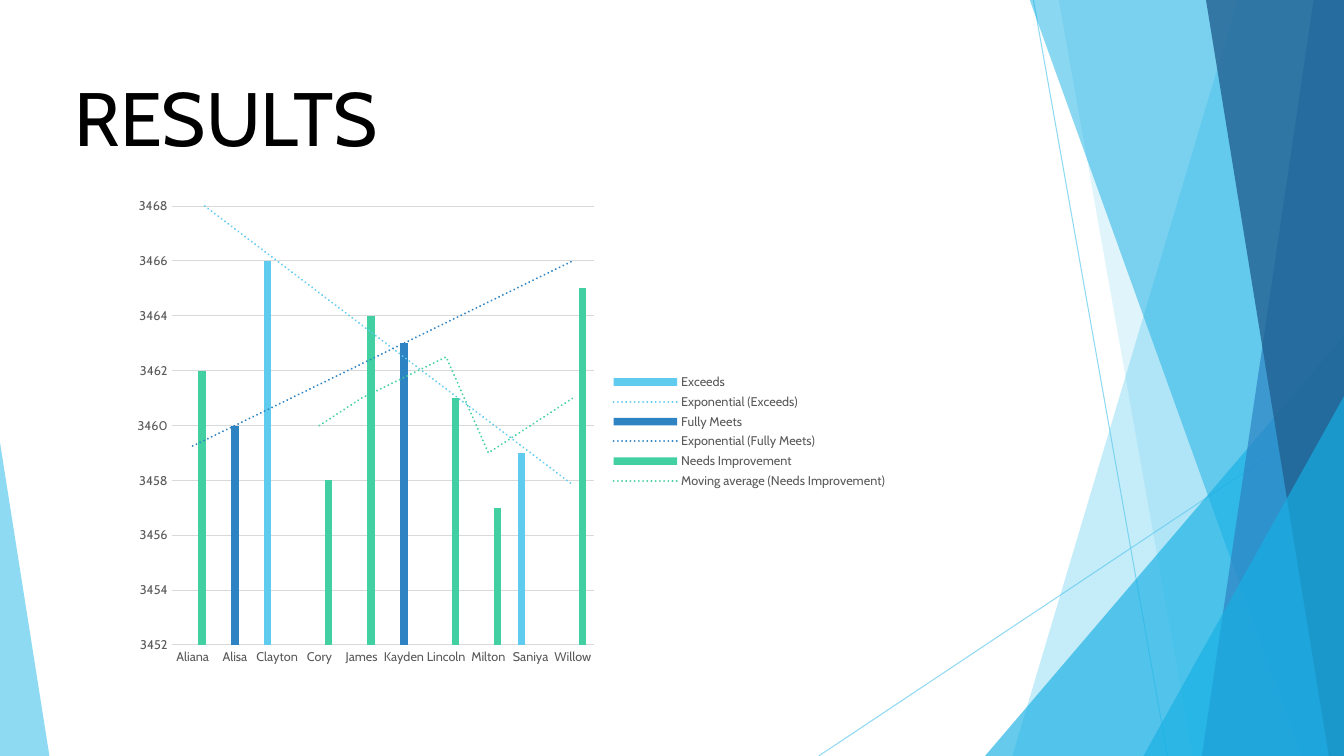
"""Build the RESULTS slide: faceted backdrop, title and column chart with trend lines."""
from lxml.etree import SubElement
from pptx import Presentation
from pptx.chart.data import CategoryChartData
from pptx.dml.color import RGBColor
from pptx.enum.chart import XL_CHART_TYPE as CHART, XL_LEGEND_POSITION as LEGEND, XL_TICK_MARK as TICK
from pptx.enum.shapes import MSO_CONNECTOR as CONNECTOR, MSO_SHAPE as SHAPE
from pptx.oxml import parse_xml
from pptx.oxml.ns import nsdecls, qn
from pptx.util import Inches, Pt

W, H, TOP = 13.33, 7.5, -0.01
FONT, SKY, CYAN, BLUE, NAVY, GREEN = "Cabin", "5FCBEF", "17B0E4", "2E83C3", "226292", "42D0A2"
GRAY, RULE = "595959", "D9D9D9"


def paint(fill, color, element=None, alpha=100):
    fill.solid()
    fill.fore_color.rgb = RGBColor.from_string(color)
    if element is not None:
        for clr in element.iter(qn("a:srgbClr")):
            SubElement(clr, qn("a:alpha")).set("val", str(alpha * 1000))


def add_text(s, text, left, top, width, height, size=18, font=FONT, color="000000"):
    tf = s.shapes.add_textbox(Inches(left), Inches(top), Inches(width), Inches(height)).text_frame
    tf.word_wrap = True
    r = tf.paragraphs[0].add_run()
    r.text = text
    r.font.size, r.font.name = Pt(size), font
    paint(r.font.fill, color)


prs = Presentation()
prs.slide_width, prs.slide_height = Inches(W), Inches(H)
s = prs.slides.add_slide(prs.slide_layouts[6])

for x1, y1, x2, y2 in [(10.25, 0, 11.58, H), (W, 4.03, 8.12, H)]:
    ray = s.shapes.add_connector(CONNECTOR.STRAIGHT, Inches(x1), Inches(y1), Inches(x2), Inches(y2))
    ray.line.width = Pt(0.75)
    paint(ray.line.fill, SKY, ray.element, 70)
    SubElement(ray.element.spPr, qn("a:effectLst"))

facets = [
    ("band", (12.28, 10.04), SKY, 36),
    ("band", (10.5, 11.83), SKY, 20),
    ("triangle", (9.77, 3.33, 3.56, 1), CYAN, 66),
    ("band", (10.21, 12.91), CYAN, 50),
    ("band", (13.03, 11.92), BLUE, 70),
    ("band", (11.96, 13.18), NAVY, 80),
    ("triangle", (11.34, 3.93, 1.99, 1), CYAN, 66),
    ("triangle", (0, 4.39, 0.49, 0), SKY, 70),
]
for kind, place, color, alpha in facets:
    if kind == "band":
        top_x, bottom_x = place
        outline = s.shapes.build_freeform(Inches(top_x), Inches(TOP))
        corners = [(W, TOP), (W, H), (bottom_x, H)]
        outline.add_line_segments([(Inches(x), Inches(y)) for x, y in corners])
        sp = outline.convert_to_shape()
    else:
        left, top, width, apex = place
        sp = s.shapes.add_shape(SHAPE.ISOSCELES_TRIANGLE, Inches(left), Inches(top),
                                Inches(width), Inches(H - top))
        sp.adjustments[0] = apex
    sp.shadow.inherit = False
    sp.line.fill.background()
    paint(sp.fill, color, sp.element, alpha)

add_text(s, "RESULTS", 0.64, 0.65, 7.59, 1.01, size=54)

ratings = [
    ("Exceeds", {"Clayton": 3466, "Saniya": 3459}, SKY, "exp", "Exponential"),
    ("Fully Meets", {"Alisa": 3460, "Kayden": 3463}, BLUE, "exp", "Exponential"),
    ("Needs Improvement", {"Aliana": 3462, "Cory": 3458, "James": 3464, "Lincoln": 3461,
                           "Milton": 3457, "Willow": 3465}, GREEN, "movingAvg", "Moving average"),
]
data = CategoryChartData()
data.categories = sorted(name for rating in ratings for name in rating[1])
for label, scores, *_ in ratings:
    data.add_series(label, [scores.get(c.label) for c in data.categories])
chart = s.shapes.add_chart(CHART.COLUMN_CLUSTERED, Inches(1.21), Inches(1.87),
                           Inches(7.69), Inches(4.82), data).chart
chart.has_title = False
chart.font.size, chart.font.name = Pt(10), FONT
paint(chart.font.fill, "000000")
chart.has_legend = True
chart.legend.position = LEGEND.RIGHT
chart.legend.include_in_layout = False

names, values = chart.category_axis, chart.value_axis
for font in (names.tick_labels.font, values.tick_labels.font, chart.legend.font):
    font.size, font.name = Pt(9), FONT
    paint(font.fill, GRAY)
for axis in (names, values):
    axis.major_tick_mark = axis.minor_tick_mark = TICK.NONE
for line in (names.format.line, values.major_gridlines.format.line):
    line.width = Pt(0.75)
    paint(line.fill, RULE)
values.format.line.fill.background()
values.minimum_scale, values.maximum_scale, values.major_unit = 3452, 3468, 2

plot = chart.plots[0]
plot.gap_width, plot.overlap, plot.vary_by_categories = 219, -27, False
for series, ser, rating in zip(plot.series, chart.element.iter(qn("c:ser")), ratings):
    label, scores, color, trend, trend_name = rating
    paint(series.format.fill, color)
    series.invert_if_negative = False
    period = '<c:period val="2"/>' if trend == "movingAvg" else ""
    ser.find(qn("c:cat")).addprevious(parse_xml(
        f'<c:trendline {nsdecls("c", "a")}><c:name>{trend_name} ({label})</c:name>'
        f'<c:spPr><a:ln w="{Pt(1.5)}" cap="rnd"><a:solidFill><a:srgbClr val="{color}"/></a:solidFill>'
        f'<a:prstDash val="sysDot"/></a:ln></c:spPr><c:trendlineType val="{trend}"/>{period}'
        '<c:dispRSqr val="0"/><c:dispEq val="0"/></c:trendline>'))

prs.save("out.pptx")
